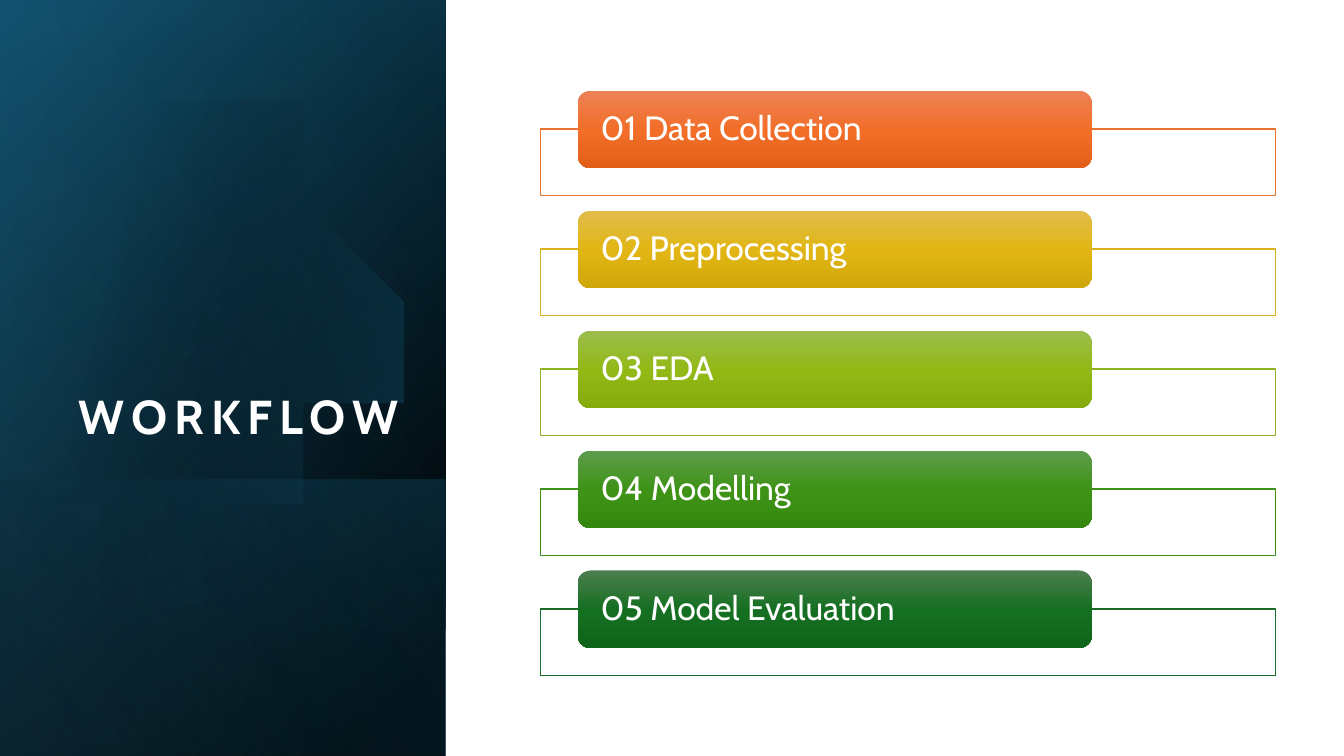
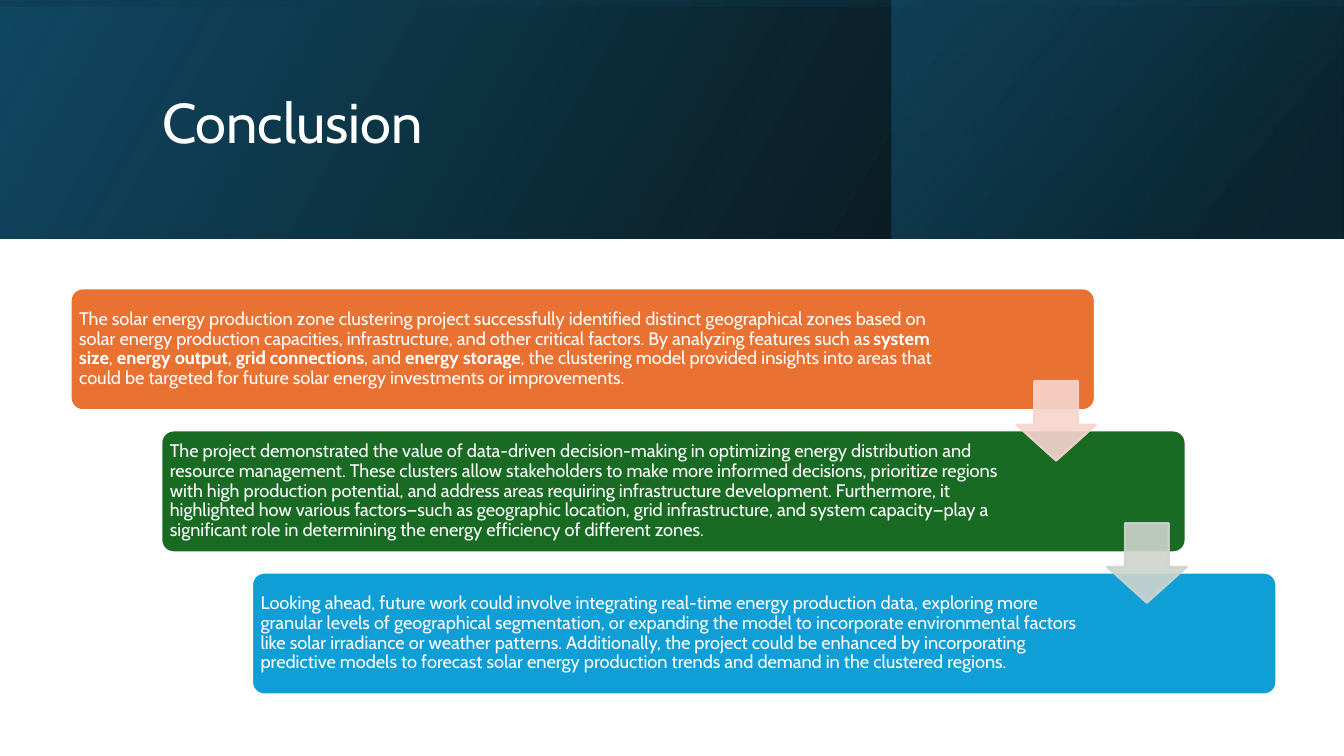
from lxml import etree
from pptx import Presentation
from pptx.dml.color import RGBColor
from pptx.enum.shapes import MSO_SHAPE
from pptx.enum.text import MSO_ANCHOR, PP_ALIGN
from pptx.oxml.ns import qn
from pptx.util import Inches, Pt

RECT = MSO_SHAPE.RECTANGLE
ROUND = MSO_SHAPE.ROUNDED_RECTANGLE
DOWN = MSO_SHAPE.DOWN_ARROW
MIDDLE = MSO_ANCHOR.MIDDLE
BOTTOM = MSO_ANCHOR.BOTTOM
LEFT = PP_ALIGN.LEFT
RIGHT = PP_ALIGN.RIGHT

WHITE = "FFFFFF"
BLACK = "000000"
NAVY = "104862"
TEAL = "156082"

STEPS = [
    ("01 Data Collection", "E97132", ("ED8257", "F26E29", "E25F1A")),
    ("02 Preprocessing", "D8B11D", ("E1BC4E", "E1B614", "D0A70A")),
    ("03 EDA", "8EB21E", ("9CBD4E", "92B916", "85AB0D")),
    ("04 Modelling", "408E1C", ("5E9C4E", "3E9317", "35880F")),
    ("05 Model Evaluation", "196B24", ("4D7E50", "156F21", "0F661B")),
]

POINTS = [
    ("E97132", 1.28,
     "The solar energy production zone clustering project successfully identified distinct "
     "geographical zones based on solar energy production capacities, infrastructure, and other "
     "critical factors. By analyzing features such as *system size*, *energy output*, "
     "*grid connections*, and *energy storage*, the clustering model provided insights into areas "
     "that could be targeted for future solar energy investments or improvements."),
    ("196B24", 1.73,
     "The project demonstrated the value of data-driven decision-making in optimizing energy "
     "distribution and resource management. These clusters allow stakeholders to make more informed "
     "decisions, prioritize regions with high production potential, and address areas requiring "
     "infrastructure development. Furthermore, it highlighted how various factors—such as geographic "
     "location, grid infrastructure, and system capacity—play a significant role in determining the "
     "energy efficiency of different zones."),
    ("0F9ED5", 1.73,
     "Looking ahead, future work could involve integrating real-time energy production data, "
     "exploring more granular levels of geographical segmentation, or expanding the model to "
     "incorporate environmental factors like solar irradiance or weather patterns. Additionally, the "
     "project could be enhanced by incorporating predictive models to forecast solar energy "
     "production trends and demand in the clustered regions."),
]

ARC = [
    (1.49, 1.1),
    (2.46, 1.12), (3.35, 1.77), (3.63, 2.75),
    (3.98, 3.97), (3.28, 5.23), (2.07, 5.58),
    (1.31, 5.8), (0.53, 5.61), (0, 5.14),
]
CROWN = [(0, 1.61), (0.23, 1.42), (0.5, 1.28), (0.8, 1.19), (1.03, 1.13), (1.26, 1.1), (1.49, 1.1)]


def rgb(code):
    return RGBColor.from_string(code)


def assign(item, values):
    for name, value in values.items():
        setattr(item, name, value)


def curve(knots, count=24):
    dots = [knots[0]]
    for i in range(0, len(knots) - 1, 3):
        part = knots[i:i + 4]
        for n in range(1, count + 1):
            t = n / count
            u = 1 - t
            mix = (u ** 3, 3 * u * u * t, 3 * u * t * t, t ** 3)
            dots.append(tuple(sum(m * p[axis] for m, p in zip(mix, part)) for axis in (0, 1)))
    return dots


class Deck:
    font = "Cabin"

    def __init__(self):
        self.file = Presentation()
        assign(self.file, {"slide_width": Inches(13.33), "slide_height": Inches(7.5)})
        self.slide = None

    def page(self):
        self.slide = self.file.slides.add_slide(self.file.slide_layouts[6])

    def blend(self, shape, stops, angle):
        shape.shadow.inherit = False
        shape.line.fill.background()
        shape.fill.gradient()
        shape.fill.gradient_angle = -angle % 360
        ramp = next(shape._element.spPr.iter(qn("a:gsLst")))
        for old in list(ramp):
            ramp.remove(old)
        for place, code, alpha in stops:
            stop = etree.SubElement(ramp, qn("a:gs"), pos=str(place * 1000))
            tint = etree.SubElement(stop, qn("a:srgbClr"), val=code)
            etree.SubElement(tint, qn("a:alpha"), val=str(alpha * 1000))

    def shape(self, kind, at, fill=WHITE, edge=None, width=1, alpha=100, adjust=()):
        shape = self.slide.shapes.add_shape(kind, *map(Inches, at))
        shape.shadow.inherit = False
        shape.fill.solid()
        shape.fill.fore_color.rgb = rgb(fill)
        if edge:
            shape.line.color.rgb = rgb(edge)
            shape.line.width = Pt(width)
        else:
            shape.line.fill.background()
        for i, value in enumerate(adjust):
            shape.adjustments[i] = value
        if alpha < 100:
            for tint in shape._element.spPr.iter(qn("a:srgbClr")):
                etree.SubElement(tint, qn("a:alpha"), val=str(alpha * 1000))
        return shape

    def band(self, at, stops, angle, turn=0):
        band = self.shape(RECT, at)
        band.rotation = turn
        band._element.spPr.find(qn("a:xfrm")).set("flipH", "1")
        self.blend(band, stops, angle)

    def disc(self, dots, stops, angle):
        outline = self.slide.shapes.build_freeform(*dots[0], scale=Inches(1))
        outline.add_line_segments(dots[1:], close=True)
        self.blend(outline.convert_to_shape(), stops, angle)

    def label(self, shape, text, size, pads, anchor=MIDDLE, align=LEFT, bold=False, track=0):
        frame = shape.text_frame
        sides = ("margin_left", "margin_top", "margin_right", "margin_bottom")
        assign(frame, dict(zip(sides, map(Inches, pads))))
        assign(frame, {"word_wrap": True, "vertical_anchor": anchor})
        para = frame.paragraphs[0]
        assign(para, {"alignment": align, "line_spacing": 0.9})
        for i, piece in enumerate(text.split("*")):
            run = para.add_run()
            run.text = piece
            assign(run.font, {"name": self.font, "size": Pt(size), "bold": bold or i % 2 == 1})
            run.font.color.rgb = rgb(WHITE)
            if track:
                run._r.get_or_add_rPr().set("spc", str(track * 100))

    def title(self, at, text, size, **style):
        box = self.slide.shapes.add_textbox(*map(Inches, at))
        self.label(box, text, size, (0.1, 0.05, 0.1, 0.05), **style)

    def step(self, top, text, edge, tones):
        self.shape(RECT, (5.36, top + 0.38, 7.29, 0.66), edge=edge)
        chip = self.shape(ROUND, (5.73, top, 5.1, 0.77))
        self.blend(chip, [(i * 50, tone, 100) for i, tone in enumerate(tones)], 90)
        self.label(chip, text, 24, (0.19, 0, 0.19, 0))

    def card(self, left, top, fill, pad, text):
        card = self.shape(ROUND, (left, top, 10.16, 1.21), fill, WHITE, 1.5, adjust=(0.1,))
        self.label(card, text, 13, (0.05, 0.05, pad, 0.05))

    def arrow(self, left, top, fill):
        self.shape(DOWN, (left, top, 0.79, 0.79), fill, fill, 1.5, 90, (0.55, 0.45))


def workflow(deck):
    deck.page()
    side = (-1.54, 1.54, 7.5, 4.42)
    deck.band(side, [(8, BLACK, 100), (100, NAVY, 100)], 50, 90)
    deck.band(side, [(0, BLACK, 0), (99, TEAL, 46)], 30, 90)
    deck.band((0.84, 3.92, 2.74, 4.42), [(2, TEAL, 29), (100, BLACK, 30)], 130, 90)
    deck.disc(curve(ARC) + curve(CROWN), [(29, BLACK, 0), (100, TEAL, 43)], 14)
    deck.band(side, [(0, BLACK, 0), (99, "46B1E1", 11)], 120, 90)
    deck.title((0.64, 1.84, 3.41, 2.62), "WORKFLOW", 34,
               anchor=BOTTOM, align=RIGHT, bold=True, track=5)
    for i, step in enumerate(STEPS):
        deck.step(0.9 + 1.19 * i, *step)


def closing(deck):
    deck.page()
    deck.band((0, 0, 13.33, 2.37), [(0, BLACK, 96), (100, NAVY, 100)], 330)
    deck.band((8.84, 0, 4.48, 2.37), [(19, "0B3041", 68), (100, TEAL, 48)], 320)
    deck.band((5.48, -5.48, 2.37, 13.33), [(23, NAVY, 16), (99, BLACK, 45)], 350, 270)
    deck.title((1.51, 0.38, 10.63, 1.72), "Conclusion", 40)
    for i, point in enumerate(POINTS):
        deck.card(0.7 + 0.9 * i, 2.86 + 1.41 * i, *point)
    for i, fill in enumerate(("F7D5CE", "CCD4CD")):
        deck.arrow(10.08 + 0.9 * i, 3.78 + 1.41 * i, fill)


def main():
    deck = Deck()
    workflow(deck)
    closing(deck)
    deck.file.save("out.pptx")


if __name__ == "__main__":
    main()
